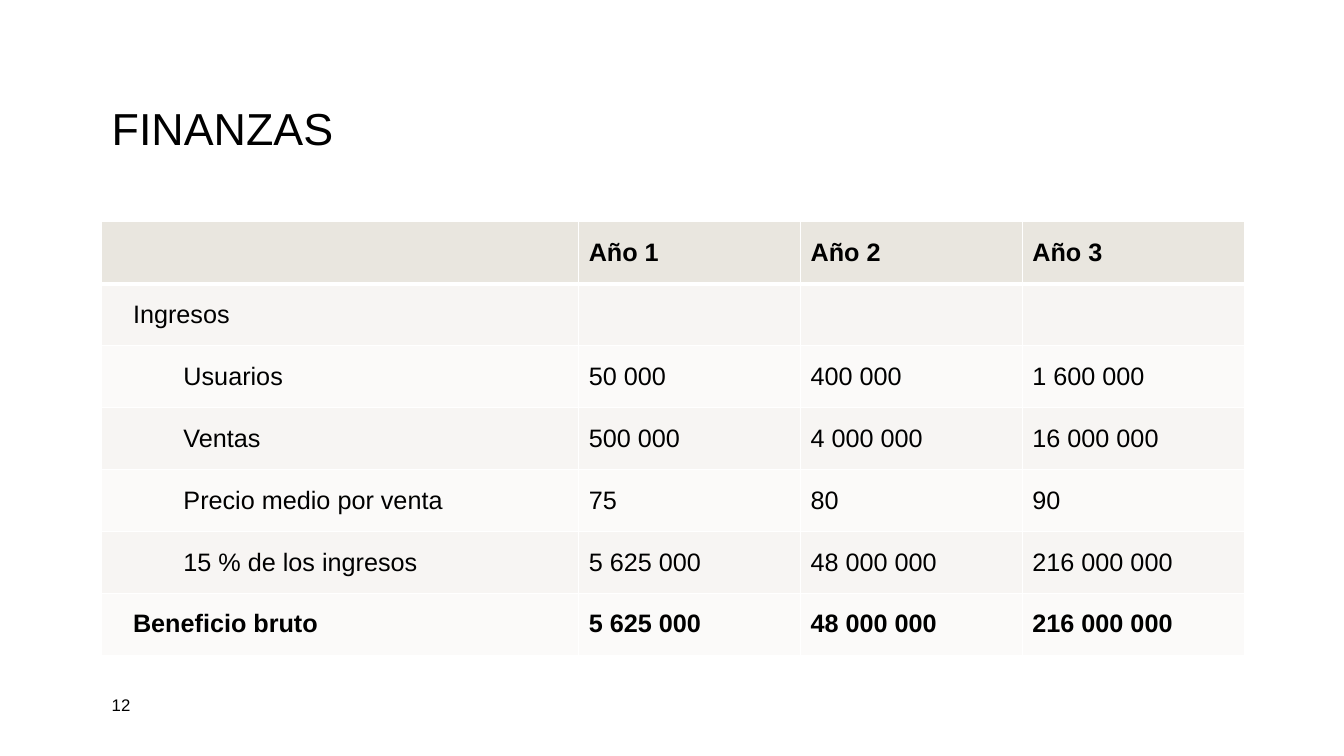
from lxml.etree import SubElement
from pptx import Presentation
from pptx.dml.color import RGBColor
from pptx.enum.text import MSO_ANCHOR
from pptx.oxml.ns import qn
from pptx.util import Inches, Pt

BLACK = RGBColor(0x00, 0x00, 0x00)
WHITE = RGBColor(0xFF, 0xFF, 0xFF)
HEADER_FILL = RGBColor(0xE9, 0xE6, 0xDF)
BAND_FILLS = [RGBColor(0xFB, 0xFA, 0xF9), RGBColor(0xF7, 0xF5, 0xF3)]

LEFT = Inches(1.01)
LABEL_WIDTH, YEAR_WIDTH = Inches(4.73), Inches(2.2)
TABLE_WIDTH = LABEL_WIDTH + 3 * YEAR_WIDTH
TABLE_HEIGHT = Inches(4.3)

# Label, indent level, one value per year
FINANCES = [
    ("", 0, "Año 1", "Año 2", "Año 3"),
    ("Ingresos", 0, "", "", ""),
    ("Usuarios", 1, "50 000", "400 000", "1 600 000"),
    ("Ventas", 1, "500 000", "4 000 000", "16 000 000"),
    ("Precio medio por venta", 1, "75", "80", "90"),
    ("15 % de los ingresos", 1, "5 625 000", "48 000 000", "216 000 000"),
    ("Beneficio bruto", 0, "5 625 000", "48 000 000", "216 000 000"),
]
LAST_ROW = len(FINANCES) - 1


def add_text(paragraph, text, size, bold=False):
    run = paragraph.add_run()
    run.text = text
    run.font.name = "Arial"
    run.font.size = Pt(size)
    run.font.bold = bold
    run.font.color.rgb = BLACK


def set_borders(cell, bottom_width):
    properties = cell._tc.get_or_add_tcPr()
    sides = [("a:lnL", 1), ("a:lnR", 1), ("a:lnT", 1), ("a:lnB", bottom_width)]
    for position, (side, width) in enumerate(sides):
        line = SubElement(properties, qn(side), w=str(Pt(width)))
        fill = SubElement(line, qn("a:solidFill"))
        SubElement(fill, qn("a:srgbClr"), val=str(WHITE))
        properties.insert(position, line)


presentation = Presentation()
presentation.slide_width = Inches(13.33)
presentation.slide_height = Inches(7.5)
slide = presentation.slides.add_slide(presentation.slide_layouts[6])

# Title and page number
for text, size, top, width, height, spacing in [
    ("FINANZAS", 32, 0.64, 11.32, 1.32, 0.9),
    ("12", 12, 6.83, 0.69, 0.32, 1.0),
]:
    frame = slide.shapes.add_textbox(
        LEFT, Inches(top), Inches(width), Inches(height)).text_frame
    frame.word_wrap = True
    frame.vertical_anchor = MSO_ANCHOR.MIDDLE
    frame.paragraphs[0].line_spacing = spacing
    add_text(frame.paragraphs[0], text, size)

# Finance table
finance_table = slide.shapes.add_table(
    len(FINANCES), 4, LEFT, Inches(2.2), TABLE_WIDTH, TABLE_HEIGHT).table
for column, width in zip(finance_table.columns, [LABEL_WIDTH] + [YEAR_WIDTH] * 3):
    column.width = width

for row, (label, level, *values) in enumerate(FINANCES):
    for col, text in enumerate([label, *values]):
        cell = finance_table.cell(row, col)
        cell.vertical_anchor = MSO_ANCHOR.MIDDLE
        cell.fill.solid()
        cell.fill.fore_color.rgb = BAND_FILLS[row % 2] if row else HEADER_FILL
        set_borders(cell, 1 if row else 3)
        paragraph = cell.text_frame.paragraphs[0]
        if col == 0 and row > 0:
            cell.margin_left = Inches(0.31)
            paragraph.level = level
            paragraph._p.get_or_add_pPr().set("marL", str(level * Inches(0.5)))
        if text:
            add_text(paragraph, text, 18, bold=row in (0, LAST_ROW))

presentation.save("out.pptx")
